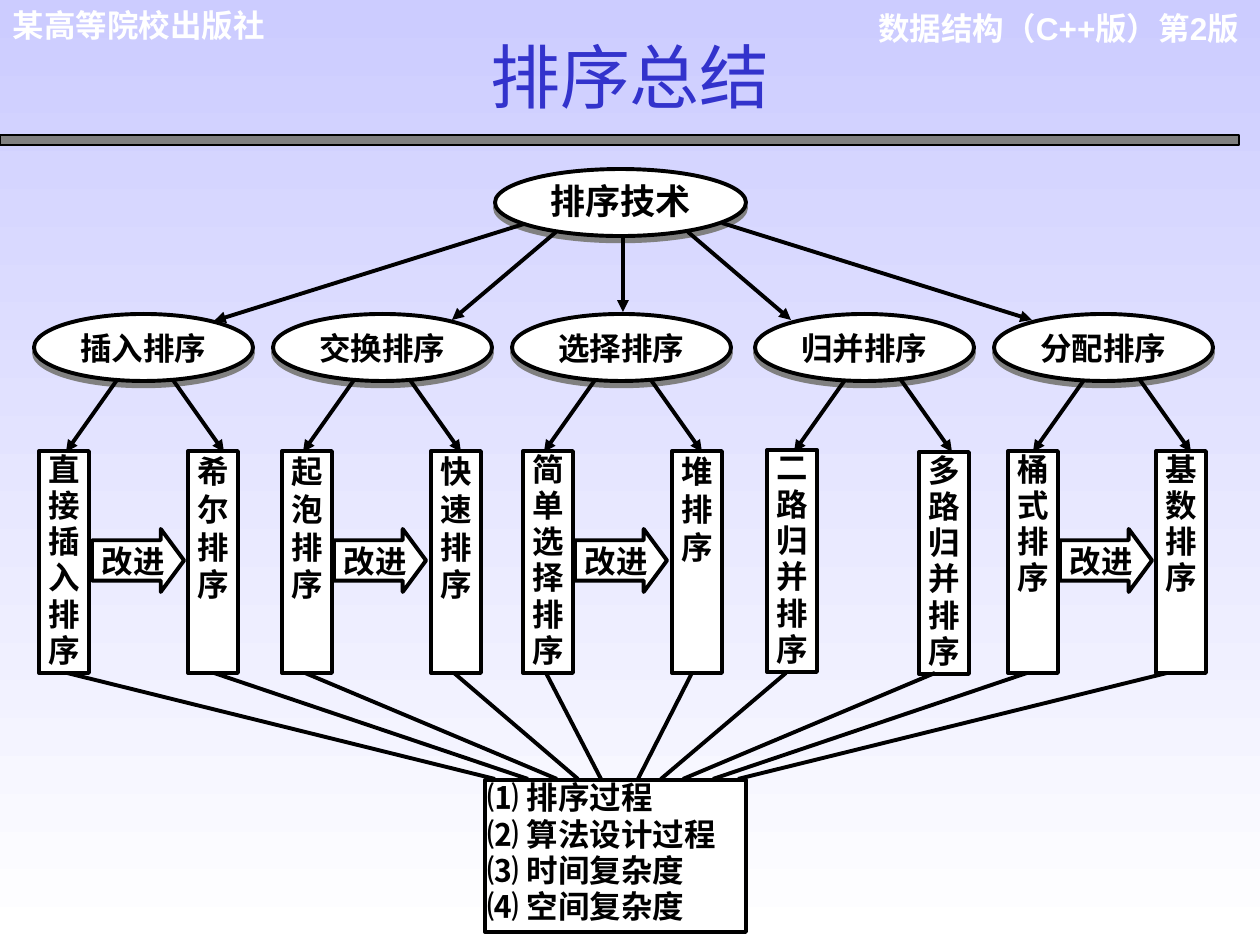
"""Build the summary slide of sorting techniques as a tree diagram."""
from lxml import etree
from pptx import Presentation
from pptx import util as u
from pptx.dml.color import RGBColor
from pptx.enum import shapes, text
from pptx.oxml.ns import qn

BLACK = RGBColor(0x00, 0x00, 0x00)
WHITE = RGBColor(0xFF, 0xFF, 0xFF)
GREY = RGBColor(0x80, 0x80, 0x80)
BLUE = RGBColor(0x33, 0x33, 0xCC)
LILAC = RGBColor(0xCC, 0xCC, 0xFF)
SERIF, SANS, CJK = "Times New Roman", "Arial", "Noto Sans CJK SC"

TITLE = "排序总结"
HEADERS = [
    ("数据结构（C++版）第2版", (853, 3, 399, 88), "RIGHT"),
    ("某高等院校出版社", (0, 0, 341, 50), "LEFT"),
]
ROOT = "排序技术"
IMPROVE = "改进"
ASPECTS = ["⑴ 排序过程", "⑵ 算法设计过程", "⑶ 时间复杂度", "⑷ 空间复杂度"]

# name, ellipse left, fork centre, leaves (name, left, top, spacing), improve arrow left
FAMILIES = [
    ("插入排序", 34, 145, [("直接插入排序", 39, 451, 0.96), ("希尔排序", 188, 451, 1)], 92),
    ("交换排序", 273, 382, [("起泡排序", 282, 451, 1), ("快速排序", 431, 451, 1)], 334),
    ("选择排序", 512, 623, [("简单选择排序", 523, 451, 0.96), ("堆排序", 672, 451, 1)], 575),
    ("归并排序", 755, 873, [("二路归并排序", 767, 450, 0.96), ("多路归并排序", 919, 452, 0.96)], None),
    ("分配排序", 994, 1112, [("桶式排序", 1008, 451, 0.96), ("基数排序", 1156, 451, 0.96)], 1060),
]
BRANCHES = [
    ((524, 224), (214, 321)), ((556, 232), (452, 320)), ((623, 238), (623, 312)),
    ((688, 232), (791, 320)), ((722, 223), (1032, 320)),
]
FAN = [(67, 495), (214, 528), (305, 557), (454, 578), (546, 601),
       (692, 638), (786, 661), (935, 683), (1027, 713), (1167, 738)]
ELLIPSE_TOP, ELLIPSE_W, ELLIPSE_H = 314, 219, 67
LEAF_W, LEAF_H = 50, 222
FORK_TOP, FORK_BOTTOM, FORK_NEAR, FORK_FAR = 380, 452, 28, 79
FAN_TOP, FAN_BOTTOM = 673, 779

deck = Presentation()
deck.slide_width, deck.slide_height = u.Inches(10), u.Inches(7.5)
page = deck.slides.add_slide(deck.slide_layouts[5])


def px(length):
    return u.Emu(round(length * 914400 / 126))


def make_shadow(distance, direction):
    effects = etree.Element(qn("a:effectLst"))
    outer = etree.SubElement(effects, qn("a:outerShdw"), blurRad="0",
                             dist=str(u.Pt(distance)), dir=str(direction * 60000))
    etree.SubElement(outer, qn("a:srgbClr"), val=str(GREY))
    return effects


def write(box, lines, size, color=BLACK, font=SERIF, align="CENTER",
          bold=True, spacing=1, margins=(13, 6, 13, 6), anchor="TOP"):
    frame = box.text_frame
    frame.word_wrap = True
    frame.auto_size = text.MSO_AUTO_SIZE.NONE
    frame.vertical_anchor = text.MSO_ANCHOR[anchor]
    frame.margin_left, frame.margin_top, frame.margin_right, frame.margin_bottom = map(px, margins)
    for index, line in enumerate(lines):
        para = frame.add_paragraph() if index else frame.paragraphs[0]
        para.alignment = text.PP_ALIGN[align]
        para.line_spacing = spacing
        span = para.add_run()
        span.text = line
        span.font.size, span.font.bold, span.font.name = u.Pt(size), bold, font
        span.font.color.rgb = color
        latin = span.font._element.find(qn("a:latin"))
        latin.addnext(etree.Element(qn("a:ea"), typeface=CJK))


def add_box(kind, left, top, width, height, fill=WHITE, weight=2.25):
    box = page.shapes.add_shape(shapes.MSO_SHAPE[kind], *map(px, (left, top, width, height)))
    box.shadow.inherit = False
    box.fill.solid()
    box.fill.fore_color.rgb = fill
    box.line.color.rgb = BLACK
    box.line.width = u.Pt(weight)
    return box


def add_ellipse(name, left, top, width, height, size, margins):
    box = add_box("OVAL", left, top, width, height)
    properties = box._element.spPr
    properties.replace(properties.find(qn("a:effectLst")), make_shadow(3, 90))
    write(box, [name], size, margins=margins, anchor="MIDDLE")


def add_line(start, end, arrow=False):
    line = page.shapes.add_connector(shapes.MSO_CONNECTOR.STRAIGHT, *map(px, (*start, *end)))
    line.line.color.rgb = BLACK
    line.line.width = u.Pt(2.25)
    if arrow:
        etree.SubElement(line.line._get_or_add_ln(), qn("a:tailEnd"), type="triangle")
    etree.SubElement(line._element.spPr, qn("a:effectLst"))


backdrop = page.background.fill
backdrop.gradient()
backdrop.gradient_angle = 270
for stop, color, position in zip(backdrop.gradient_stops, (LILAC, WHITE), (0, 1)):
    stop.color.rgb = color
    stop.position = position

for words, place, align in HEADERS:
    header = page.shapes.add_textbox(*map(px, place))
    write(header, [words], 18, WHITE, SANS, align)
add_box("RECTANGLE", 0, 135, 1239, 10, GREY, 0.75)

title = page.shapes.title
title.left, title.top, title.width, title.height = map(px, (0, 32, 1260, 92))
write(title, [TITLE], 40, BLUE, CJK, bold=False, anchor="BOTTOM")
title_font = title.text_frame.paragraphs[0].runs[0].font._element
title_font.find(qn("a:solidFill")).addnext(make_shadow(2, 45))

add_ellipse(ROOT, 495, 169, 251, 67, 20, (8, 1, 8, 6))
for name, left, centre, leaves, improve_left in FAMILIES:
    add_ellipse(name, left, ELLIPSE_TOP, ELLIPSE_W, ELLIPSE_H, 18, (8, 1, 8, 1))
    for (leaf, leaf_left, leaf_top, spacing), side in zip(leaves, (-1, 1)):
        box = add_box("RECTANGLE", leaf_left, leaf_top, LEAF_W, LEAF_H)
        write(box, [leaf], 18, spacing=spacing, margins=(3, 1, 3, 1))
        add_line((centre + side * FORK_NEAR, FORK_TOP),
                 (centre + side * FORK_FAR, FORK_BOTTOM), arrow=True)
    if improve_left is not None:
        arrow = add_box("RIGHT_ARROW", improve_left, 529, 92, 63)
        arrow.adjustments[0], arrow.adjustments[1] = 0.64, 0.37
        write(arrow, [IMPROVE], 18, margins=(5, 0, 0, 0), anchor="MIDDLE")

for start, end in BRANCHES:
    add_line(start, end, arrow=True)
for upper, lower in FAN:
    add_line((upper, FAN_TOP), (lower, FAN_BOTTOM))
summary = add_box("RECTANGLE", 485, 780, 261, 152)
write(summary, ASPECTS, 18, align="JUSTIFY", spacing=0.96, margins=(3, 1, 3, 1))

deck.save("out.pptx")
